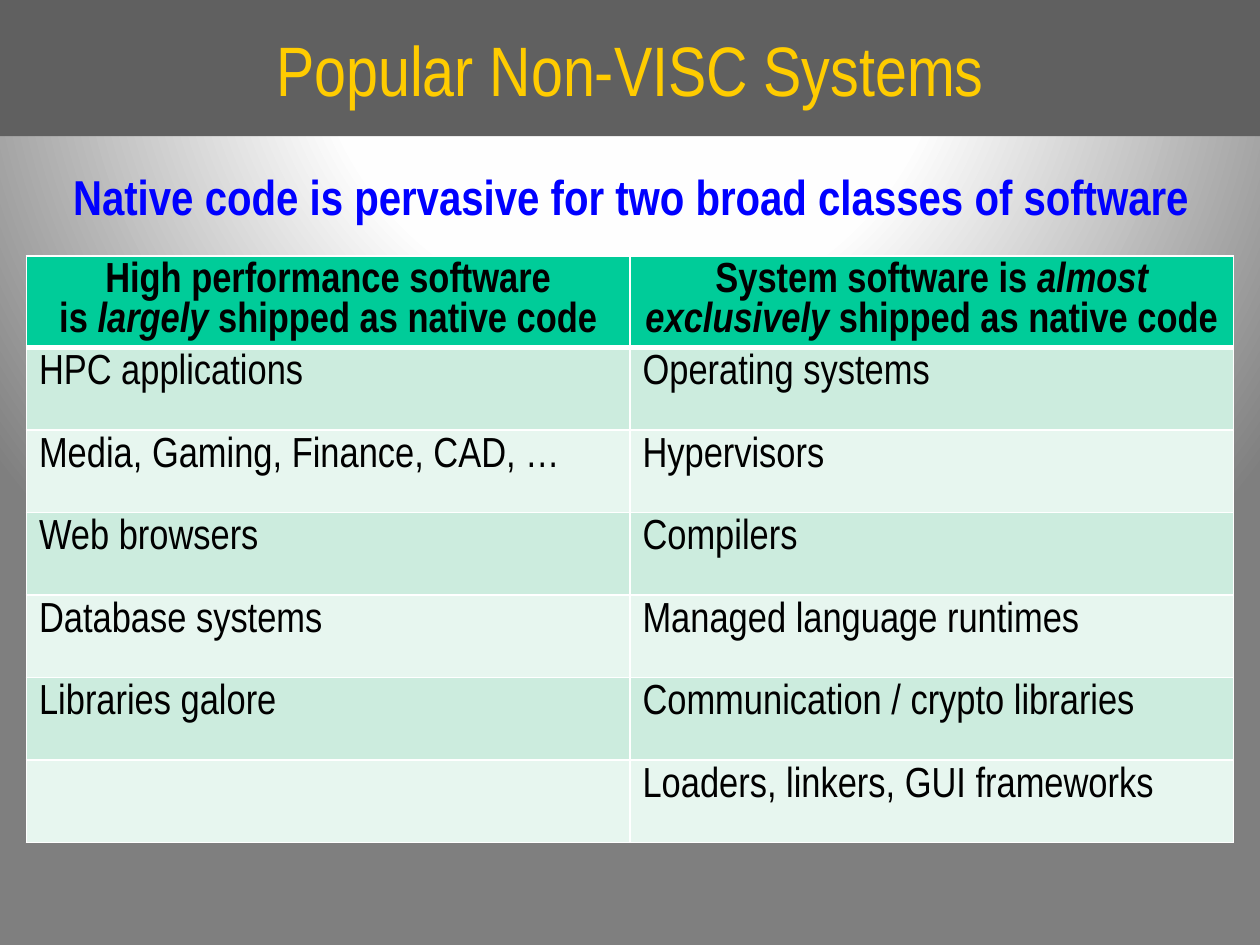
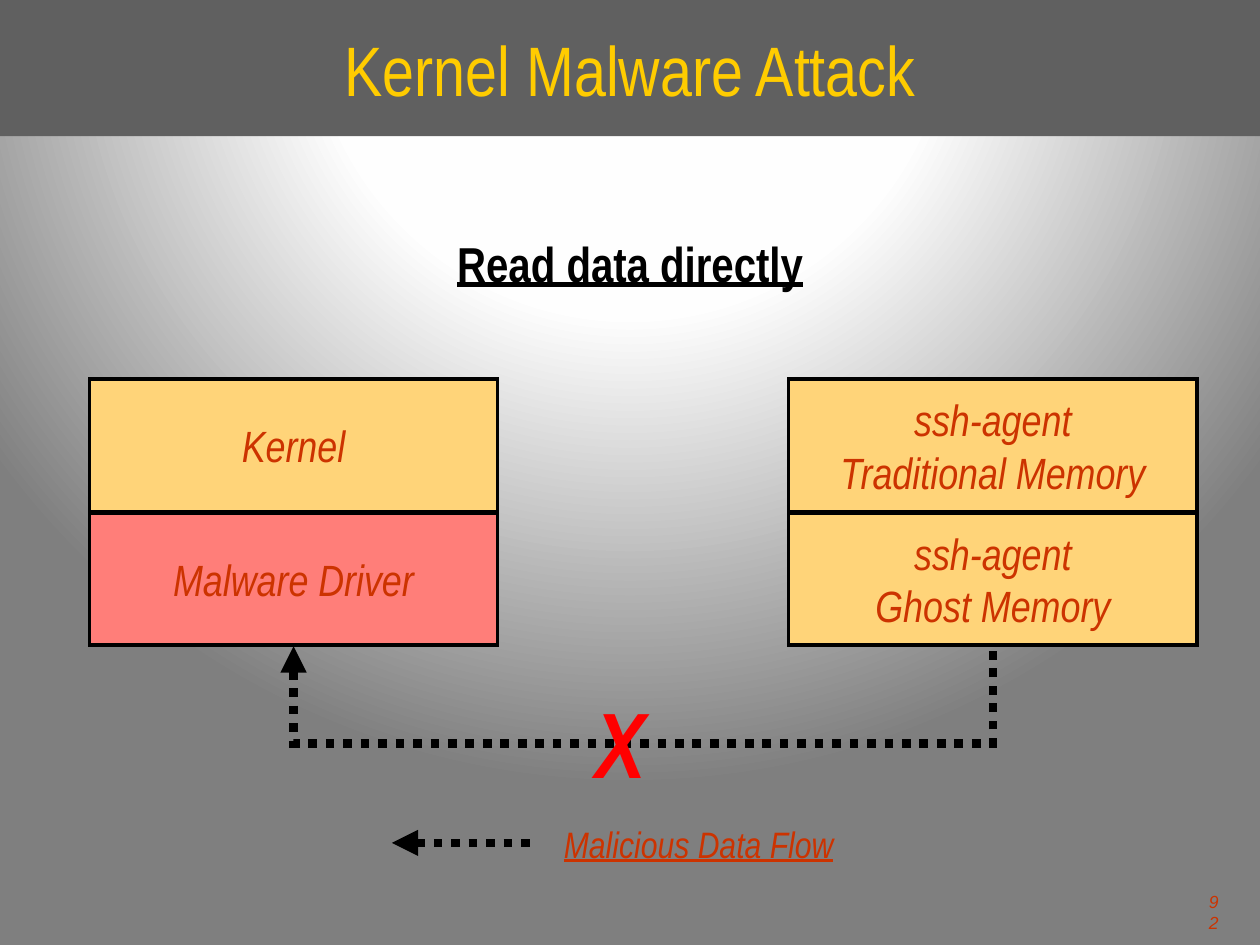
"""Two slides on native code and a kernel malware attack."""
from dataclasses import dataclass, field
from typing import Any

from pptx import Presentation
from pptx import util as u
from pptx.dml.color import RGBColor
from pptx.enum import dml, shapes, text
from pptx.oxml import parse_xml
from pptx.oxml.ns import nsdecls, qn

MID, TOP = text.MSO_ANCHOR.MIDDLE, text.MSO_ANCHOR.TOP
LEFT, MIDDLE, RIGHT = text.PP_ALIGN.LEFT, text.PP_ALIGN.CENTER, text.PP_ALIGN.RIGHT


@dataclass(frozen=True)
class Theme:
    """Colours, fonts and type sizes of the deck."""
    face: str = "Arial Narrow"
    plain: str = "Arial"
    black: str = "000000"
    white: str = "FFFFFF"
    band: str = "606060"
    gold: str = "FFCC00"
    blue: str = "0000FF"
    red: str = "FF0000"
    rust: str = "CC3300"
    sand: str = "FFD479"
    rose: str = "FF7E79"
    head: str = "00CC99"
    rows: tuple[str, str] = ("CCECDE", "E7F6EF")
    glow: tuple[tuple[int, str], ...] = ((0, "FFFFFF"), (40, "FEFEFE"), (100, "7F7F7F"))
    title: int = 40
    lead: int = 28
    label: int = 25
    cell: int = 24
    key: int = 21
    cross: int = 53
    page: int = 10


T = Theme()


@dataclass(frozen=True)
class Style:
    """How a piece of text looks; asterisks in the text switch italics."""
    size: int
    color: str
    face: str = T.face
    align: Any = MIDDLE
    anchor: Any = MID
    inset: float | None = None
    wrap: bool = True
    form: dict[str, bool] = field(default_factory=dict)


@dataclass(frozen=True)
class Block:
    """One box of a memory stack."""
    fill: str
    lines: list[str]


TITLE = Style(T.title, T.gold)
LEAD = Style(T.lead, T.blue, anchor=TOP, wrap=False, form={"bold": True})
TOPIC = Style(T.lead, T.black, anchor=TOP, form={"bold": True, "underline": True})
HEAD = Style(T.cell, T.black, form={"bold": True})
CELL = Style(T.cell, T.black, align=LEFT)
LABEL = Style(T.label, T.rust, inset=0, form={"italic": True})
CROSS = Style(T.cross, T.red, inset=0, wrap=False, form={"bold": True, "italic": True})
KEY = Style(T.key, T.rust, inset=0.06, wrap=False, form={"italic": True, "underline": True})
PAGE = Style(T.page, T.rust, face=T.plain, align=RIGHT, anchor=TOP, inset=0, form={"italic": True})


def rgb(code: str) -> RGBColor:
    """Turn a hex code into a colour."""
    return RGBColor.from_string(code)


def span(*sizes: float) -> list[u.Inches]:
    """Turn numbers into lengths in inches."""
    return [u.Inches(s) for s in sizes]


def write(frame: Any, lines: list[str], style: Style) -> None:
    """Fill a text frame with one paragraph per line."""
    for i, line in enumerate(lines):
        para = frame.paragraphs[0] if i == 0 else frame.add_paragraph()
        para.alignment = style.align
        for j, part in enumerate(line.split("*")):
            if not part:
                continue
            run = para.add_run()
            run.text = part
            run.font.color.rgb = rgb(style.color)
            looks = {"name": style.face, "size": u.Pt(style.size), **style.form}
            if j % 2:
                looks["italic"] = True
            for name, value in looks.items():
                setattr(run.font, name, value)


def set_frame(frame: Any, lines: list[str], style: Style) -> None:
    """Set wrap, anchor and insets, then write the text."""
    looks = {"word_wrap": style.wrap, "vertical_anchor": style.anchor}
    if style.inset is not None:
        for side in ("left", "top", "right", "bottom"):
            looks[f"margin_{side}"] = u.Inches(style.inset)
    for name, value in looks.items():
        setattr(frame, name, value)
    write(frame, lines, style)


def add_text(slide: Any, at: tuple[float, ...], line: str, style: Style) -> None:
    """Add a text box."""
    set_frame(slide.shapes.add_textbox(*span(*at)).text_frame, [line], style)


def end_line(shape: Any, *tags: str) -> None:
    """Append closing parts, such as a corner join, to the line of a shape."""
    line = shape.element.spPr.find(qn("a:ln"))
    for tag in tags:
        line.append(parse_xml(f'<a:{tag} {nsdecls("a")}/>'))


def add_box(slide: Any, at: tuple[float, ...], block: Block, style: Style, edge: bool = True) -> None:
    """Add a filled box with text and, if asked, a black edge."""
    box = slide.shapes.add_shape(shapes.MSO_SHAPE.RECTANGLE, *span(*at))
    box.shadow.inherit = False
    box.fill.solid()
    box.fill.fore_color.rgb = rgb(block.fill)
    if edge:
        box.line.color.rgb, box.line.width = rgb(T.black), u.Pt(2)
        end_line(box, 'miter lim="800000"')
    else:
        box.line.fill.background()
    set_frame(box.text_frame, block.lines, style)


def add_stack(slide: Any, left: float, blocks: list[Block]) -> None:
    """Add boxes on top of each other."""
    for i, block in enumerate(blocks):
        add_box(slide, (left, 3.01 + 1.06 * i, 3.24, 1.05), block, LABEL)


def add_flow(shape: Any) -> None:
    """Dot a line and put an arrowhead at its start."""
    line = shape.line
    line.color.rgb, line.width = rgb(T.black), u.Pt(5)
    line.dash_style = dml.MSO_LINE.ROUND_DOT
    end_line(shape, 'miter lim="800000"', 'headEnd type="triangle"')
    props = shape.element.spPr
    if props.find(qn("a:effectLst")) is None:
        props.append(parse_xml(f'<a:effectLst {nsdecls("a")}/>'))


def add_edges(cell: Any, widths: dict[str, int]) -> None:
    """Draw white borders around a cell, in points by side."""
    props = cell._tc.get_or_add_tcPr()
    for i, (side, width) in enumerate(widths.items()):
        props.insert(i, parse_xml(
            f'<a:ln{side} {nsdecls("a")} w="{u.Pt(width)}"><a:solidFill>'
            f'<a:srgbClr val="{T.white}"/></a:solidFill></a:ln{side}>'))


def add_grid(slide: Any, heads: list[list[str]], rows: list[tuple[str, str]]) -> None:
    """Add the table with its head and banded rows."""
    top, full = 0.73, 4.66
    grid = slide.shapes.add_table(len(rows) + 1, 2, *span(0.21, 2.03, 9.58, full)).table
    for i, row in enumerate([heads, *rows]):
        grid.rows[i].height = u.Inches((full - top) / len(rows) if i else top)
        for j, item in enumerate(row):
            cell = grid.cell(i, j)
            cell.fill.solid()
            cell.fill.fore_color.rgb = rgb(T.rows[(i - 1) % 2] if i else T.head)
            add_edges(cell, {"L": 1, "R": 1, "T": 3 if i == 1 else 1, "B": 1 if i else 3})
            write(cell.text_frame, [item] if i else item, CELL if i else HEAD)


def add_slide(deck: Any, title: str) -> Any:
    """Add a slide with the round glow and the title band."""
    slide = deck.slides.add_slide(deck.slide_layouts[6])
    stops = "".join(f'<a:gs pos="{pos * 1000}"><a:srgbClr val="{code}"/></a:gs>' for pos, code in T.glow)
    slide.element.cSld.insert(0, parse_xml(
        f'<p:bg {nsdecls("p", "a")}><p:bgPr><a:gradFill><a:gsLst>{stops}</a:gsLst><a:path path="circle">'
        '<a:fillToRect l="50000" t="-80000" r="50000" b="180000"/></a:path></a:gradFill>'
        '<a:effectLst/></p:bgPr></p:bg>'))
    add_box(slide, (0, 0, 10, 1.08), Block(T.band, [title]), TITLE, edge=False)
    return slide


def draw_systems(deck: Any) -> None:
    """Draw the table of native software."""
    slide = add_slide(deck, "Popular Non-VISC Systems")
    add_grid(slide, [
        ["High performance software", "is *largely* shipped as native code"],
        ["System software is *almost*", "*exclusively* shipped as native code"],
    ], [
        ("HPC applications", "Operating systems"),
        ("Media, Gaming, Finance, CAD, …", "Hypervisors"),
        ("Web browsers", "Compilers"),
        ("Database systems", "Managed language runtimes"),
        ("Libraries galore", "Communication / crypto libraries"),
        ("", "Loaders, linkers, GUI frameworks"),
    ])
    add_text(slide, (0.43, 1.27, 9.15, 0.57),
             "Native code is pervasive for two broad classes of software", LEAD)


def draw_attack(deck: Any) -> None:
    """Draw the blocked flow from ghost memory to the driver."""
    slide = add_slide(deck, "Kernel Malware Attack")
    add_text(slide, (0.44, 1.8, 9.12, 0.59), "Read data directly", TOPIC)
    add_stack(slide, 0.71, [Block(T.sand, ["Kernel"]), Block(T.rose, ["Malware Driver"])])
    add_stack(slide, 6.26, [Block(T.sand, ["ssh-agent", f"{kind} Memory"])
                            for kind in ("Traditional", "Ghost")])
    add_text(slide, (9.56, 7.07, 0.11, 0.17), "92", PAGE)

    start, *rest = [span(*spot) for spot in ((2.33, 5.13), (2.33, 5.9), (7.88, 5.9), (7.88, 5.13))]
    pen = slide.shapes.build_freeform(*start)
    pen.add_line_segments(rest, close=False)
    route = pen.convert_to_shape()
    route.fill.background()
    route.shadow.inherit = False
    add_flow(route)
    add_text(slide, (4.65, 5.44, 0.55, 0.89), "X", CROSS)

    add_flow(slide.shapes.add_connector(shapes.MSO_CONNECTOR.STRAIGHT, *span(3.11, 6.69, 4.26, 6.69)))
    add_text(slide, (4.38, 6.46, 2.33, 0.47), "Malicious Data Flow", KEY)


def main() -> None:
    """Build and save the deck."""
    deck = Presentation()
    deck.slide_width, deck.slide_height = span(10, 7.5)
    draw_systems(deck)
    draw_attack(deck)
    deck.save("out.pptx")


main()
